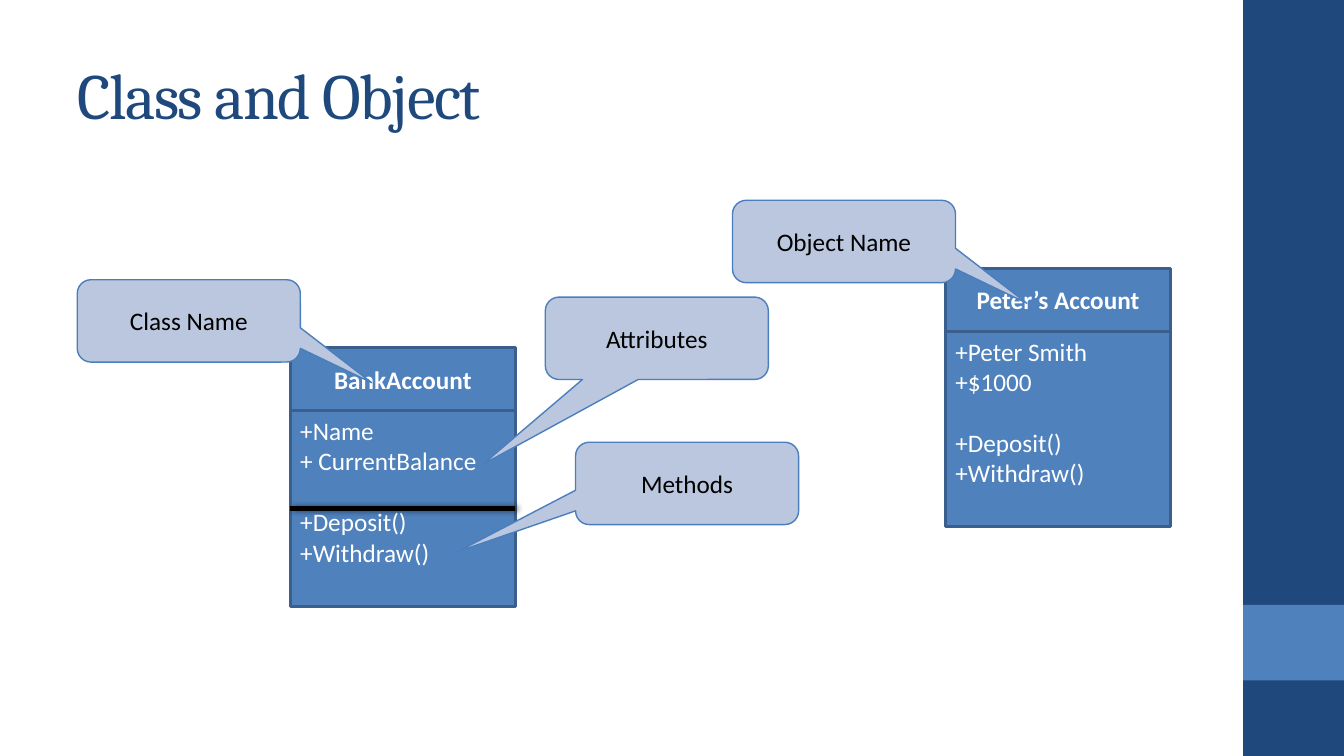
import pptx
import pptx.dml.color
import pptx.enum.shapes
import pptx.enum.text
import pptx.oxml
import pptx.oxml.ns
import pptx.util

SHAPES = pptx.enum.shapes.MSO_SHAPE
ALIGN = pptx.enum.text.PP_ALIGN
ANCHOR = pptx.enum.text.MSO_ANCHOR
NAMESPACE = pptx.oxml.ns.nsdecls("a")
COLUMNS, ROWS = 40, 10
NAVY, BLUE, BLUE_EDGE = "1F497D", "4F81BD", "3A5F8C"
PALE, PALE_EDGE = "BBC7DE", "4B7EBC"
WHITE, BLACK = "FFFFFF", "000000"
CARD_WIDTH, HEAD_HEIGHT, BODY_HEIGHT = 6.7, 0.83, 2.59
CALLOUT_WIDTH, CALLOUT_HEIGHT = 6.64, 1.09
LINE_GAP = 22


def color(hex_string):
    return pptx.dml.color.RGBColor.from_string(hex_string)


def write(frame, text, size=18, font="Calibri", ink=WHITE, bold=False,
          align=ALIGN.LEFT, anchor=ANCHOR.MIDDLE, tracking=0):
    """Fill a text frame; text is a list of (line, space before) or one string."""
    frame.word_wrap = True
    frame.vertical_anchor = anchor
    lines = [(text, 0)] if isinstance(text, str) else text
    for index, (line, space) in enumerate(lines):
        paragraph = frame.add_paragraph() if index else frame.paragraphs[0]
        paragraph.alignment = align
        paragraph.space_before = pptx.util.Pt(space)
        run = paragraph.add_run()
        run.text = line
        run.font.name = font
        run.font.size = pptx.util.Pt(size)
        run.font.bold = bold
        run.font.color.rgb = color(ink)
        if tracking:
            run.font._element.set("spc", str(tracking * 100))


class Canvas:
    """The slide, measured in grid columns and rows."""

    def __init__(self, presentation):
        self.slide = presentation.slides.add_slide(presentation.slide_layouts[6])
        self.column = presentation.slide_width / COLUMNS
        self.row = presentation.slide_height / ROWS

    def place(self, x, y, width, height):
        return [round(x * self.column), round(y * self.row),
                round(width * self.column), round(height * self.row)]

    def title(self, text, *box):
        shape = self.slide.shapes.add_textbox(*self.place(*box))
        write(shape.text_frame, text, size=46, font="Cambria", ink=NAVY, tracking=-1)

    def block(self, *box, kind=SHAPES.RECTANGLE, fill=BLUE, edge=None, weight=2):
        shape = self.slide.shapes.add_shape(kind, *self.place(*box))
        shape.shadow.inherit = False
        shape.fill.solid()
        shape.fill.fore_color.rgb = color(fill)
        if edge:
            shape.line.color.rgb = color(edge)
            shape.line.width = pptx.util.Pt(weight)
        else:
            shape.line.fill.background()
        return shape

    def card(self, x, y, name, attributes, methods):
        """A UML box: a name above its attributes and methods."""
        head = self.block(x, y, CARD_WIDTH, HEAD_HEIGHT, edge=BLUE_EDGE)
        write(head.text_frame, name, bold=True, align=ALIGN.CENTER)
        body = self.block(x, y + HEAD_HEIGHT, CARD_WIDTH, BODY_HEIGHT, edge=BLUE_EDGE)
        lines = [(line, 0) for line in attributes]
        lines += [(line, 0 if index else LINE_GAP) for index, line in enumerate(methods)]
        write(body.text_frame, lines, anchor=ANCHOR.TOP)

    def divider(self, x, y, width):
        left, top, length, _ = self.place(x, y, width, 0)
        line = self.slide.shapes.add_connector(
            pptx.enum.shapes.MSO_CONNECTOR.STRAIGHT, left, top, left + length, top)
        line.line.color.rgb = color(BLACK)
        line.line.width = pptx.util.Pt(3)
        line._element.spPr.append(pptx.oxml.parse_xml(
            f'<a:effectLst {NAMESPACE}><a:outerShdw blurRad="50800" dist="25400" dir="0">'
            f'<a:srgbClr val="{BLACK}"><a:alpha val="60000"/></a:srgbClr>'
            '</a:outerShdw></a:effectLst>'))

    def callout(self, x, y, text, tip_x, tip_y):
        """A label whose tip lies at shares of its size from its centre."""
        shape = self.block(x, y, CALLOUT_WIDTH, CALLOUT_HEIGHT, fill=PALE,
                           kind=SHAPES.ROUNDED_RECTANGULAR_CALLOUT,
                           edge=PALE_EDGE, weight=1)
        shape.adjustments[0] = tip_x
        shape.adjustments[1] = tip_y
        write(shape.text_frame, text, ink=BLACK, align=ALIGN.CENTER)

    def name_callout(self, card_x, card_y, text):
        self.callout(card_x - 6.34, card_y - 0.9, text, 0.82, 0.75)


def main():
    presentation = pptx.Presentation()
    presentation.slide_width = pptx.util.Inches(13.33)
    presentation.slide_height = pptx.util.Inches(7.5)
    canvas = Canvas(presentation)

    canvas.block(37, 0, 3, ROWS, fill=NAVY)
    canvas.block(37, 8, 3, 1)
    canvas.title("Class and Object", 2, 0.4, 33.33, 1.67)

    methods = ["+Deposit()", "+Withdraw()"]
    class_x, class_y = 8.64, 4.6
    canvas.card(class_x, class_y, "BankAccount", ["+Name", "+ CurrentBalance"], methods)
    canvas.divider(class_x, class_y + HEAD_HEIGHT + BODY_HEIGHT / 2, CARD_WIDTH)
    canvas.name_callout(class_x, class_y, "Class Name")
    canvas.callout(16.23, 3.93, "Attributes", -0.78, 1.53)
    canvas.callout(17.13, 5.85, "Methods", -1.03, 0.83)

    object_x, object_y = 28.14, 3.55
    canvas.card(object_x, object_y, "Peter’s Account", ["+Peter Smith", "+$1000"], methods)
    canvas.name_callout(object_x, object_y, "Object Name")

    presentation.save("out.pptx")


if __name__ == "__main__":
    main()
